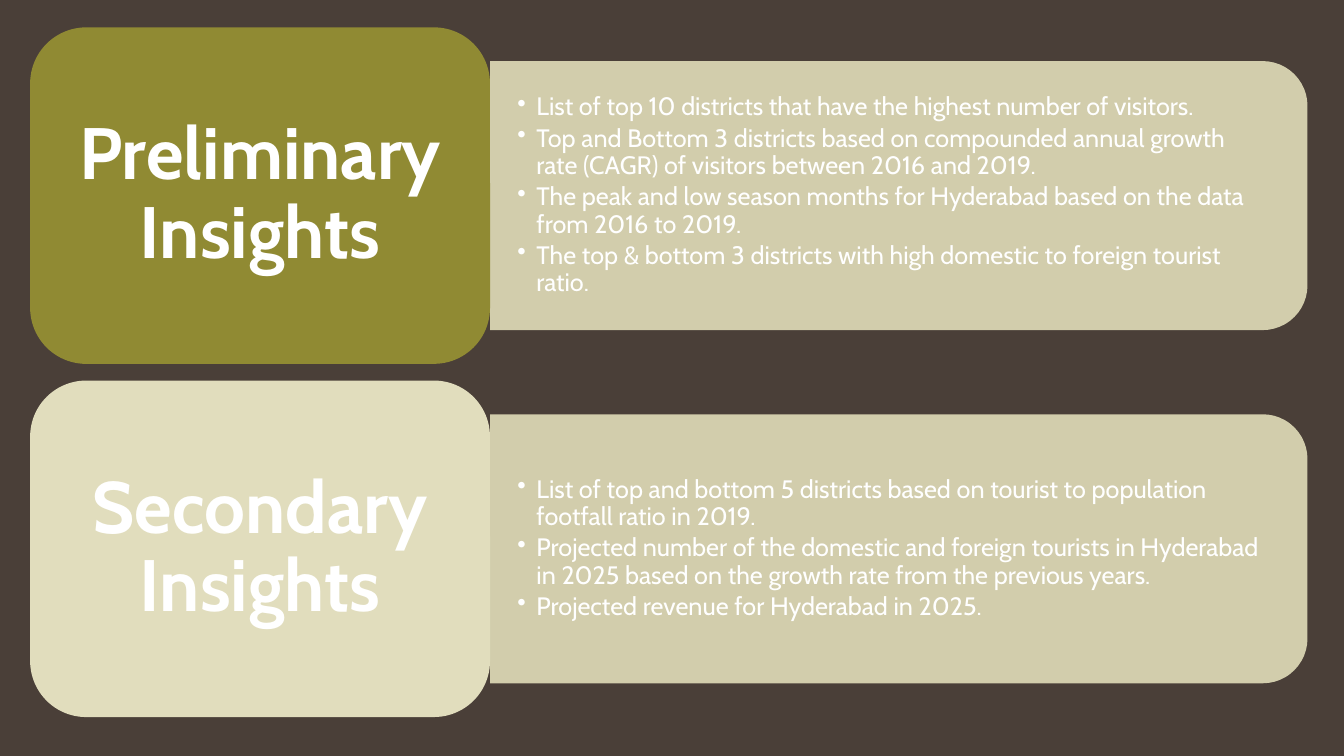
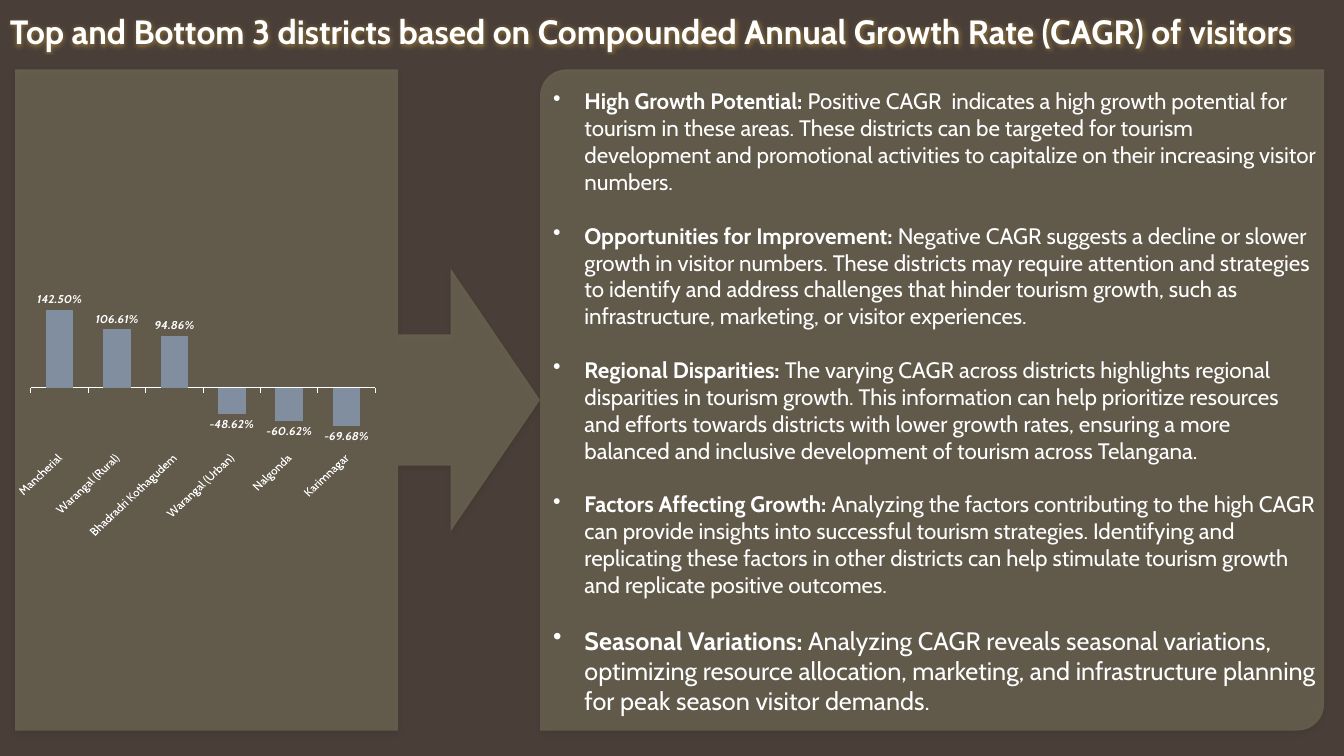
from lxml import etree
from pptx import Presentation
from pptx.chart.data import CategoryChartData
from pptx.dml.color import RGBColor
from pptx.enum.chart import XL_CHART_TYPE, XL_LABEL_POSITION, XL_TICK_LABEL_POSITION, XL_TICK_MARK
from pptx.enum.shapes import MSO_SHAPE
from pptx.enum.text import MSO_ANCHOR, PP_ALIGN
from pptx.oxml import parse_xml
from pptx.oxml.ns import nsdecls, qn
from pptx.util import Cm, Pt

COLUMN = XL_CHART_TYPE.COLUMN_CLUSTERED
OUTSIDE_END = XL_LABEL_POSITION.OUTSIDE_END
LOW = XL_TICK_LABEL_POSITION.LOW
TICK_OUT = XL_TICK_MARK.OUTSIDE
ROUND_RECT = MSO_SHAPE.ROUNDED_RECTANGLE
ROUND_TOP = MSO_SHAPE.ROUND_2_SAME_RECTANGLE
ROUND_DIAG = MSO_SHAPE.ROUND_2_DIAG_RECTANGLE
CALLOUT = MSO_SHAPE.RIGHT_ARROW_CALLOUT
MIDDLE = MSO_ANCHOR.MIDDLE
LEFT, CENTER = PP_ALIGN.LEFT, PP_ALIGN.CENTER

FONT = "Cabin"
COLORS = {
    "background": "4A3F38",
    "text": "FFFFFF",
    "olive": "908A33",
    "cream": "E1DDBD",
    "panel": "E1DDB9",
    "veil": "BEBA92",
    "bar": "818E9F",
}
COLORS = {name: RGBColor.from_string(value) for name, value in COLORS.items()}


def add_text(tf, text, size=18, bold=False, lead="", align=LEFT, hang=0, spacing=1.0, after=0):
    tf.word_wrap = True
    p = tf.add_paragraph() if tf.text else tf.paragraphs[0]
    p.alignment, p.line_spacing, p.space_after = align, spacing, Pt(after)
    if hang:
        pPr = p._p.get_or_add_pPr()
        pPr.set("marL", str(int(Cm(hang))))
        pPr.set("indent", str(-int(Cm(hang))))
        etree.SubElement(pPr, qn("a:buChar")).set("char", "•")
    for part, strong in ((lead, True), (text, bold)):
        if part:
            r = p.add_run()
            r.text = part
            r.font.name, r.font.size, r.font.bold = FONT, Pt(size), strong
            r.font.color.rgb = COLORS["text"]
    return p


def add_panel(slide, kind, box, color, alpha=100, shadow=False):
    sp = slide.shapes.add_shape(kind, *map(Cm, box))
    sp.shadow.inherit = False
    sp.fill.solid()
    sp.fill.fore_color.rgb = COLORS[color]
    sp.line.fill.background()
    if alpha < 100:
        clr = sp._element.spPr.find(qn("a:solidFill"))[0]
        etree.SubElement(clr, qn("a:alpha")).set("val", str(alpha * 1000))
    if shadow:
        sp._element.spPr.find(qn("a:effectLst")).append(parse_xml(
            f'<a:outerShdw {nsdecls("a")} blurRad="{Pt(3.5)}" dist="{Pt(2.2)}" dir="5400000" rotWithShape="0">'
            '<a:srgbClr val="000000"><a:alpha val="32000"/></a:srgbClr></a:outerShdw>'))
    return sp


prs = Presentation()
prs.slide_width, prs.slide_height = Cm(33.87), Cm(19.05)
slides = [prs.slides.add_slide(prs.slide_layouts[6]) for _ in range(2)]
for s in slides:
    s.background.fill.solid()
    s.background.fill.fore_color.rgb = COLORS["background"]
insights, growth = slides

groups = [
    ("Preliminary Insights", "olive", [
        "List of top 10 districts that have the highest number of visitors.",
        "Top and Bottom 3 districts based on compounded annual growth rate (CAGR) of visitors between 2016 and 2019.",
        "The peak and low season months for Hyderabad based on the data from 2016 to 2019.",
        "The top & bottom 3 districts with high domestic to foreign tourist ratio.",
    ]),
    ("Secondary Insights", "cream", [
        "List of top and bottom 5 districts based on tourist to population footfall ratio in 2019.",
        "Projected number of the domestic and foreign tourists in Hyderabad in 2025 based on the growth rate "
        "from the previous years.",
        "Projected revenue for Hyderabad in 2025.",
    ]),
]
card_x, card_w, card_h = 0.76, 11.59, 8.48
panel_x, panel_w, panel_h = card_x + card_w, 20.6, 6.78
for i, (heading, color, points) in enumerate(groups):
    card_y = 0.69 + i * 8.9
    middle_y = card_y + card_h / 2
    turned = (panel_x + (panel_w - panel_h) / 2, middle_y - panel_w / 2, panel_h, panel_w)
    sp = add_panel(insights, ROUND_TOP, turned, "panel", alpha=90)
    sp.rotation = 90

    box = (panel_x, middle_y - panel_h / 2, 20.27, panel_h)
    tf = insights.shapes.add_textbox(*map(Cm, box)).text_frame
    tf.vertical_anchor = MIDDLE
    tf.margin_left = tf.margin_right = Cm(0.69)
    for point in points:
        add_text(tf, point, hang=0.48, spacing=0.9, after=3)

    sp = add_panel(insights, ROUND_RECT, (card_x, card_y, card_w, card_h), color)
    sp.text_frame.vertical_anchor = MIDDLE
    add_text(sp.text_frame, heading, size=52, bold=True, align=CENTER, spacing=0.9)

tf = growth.shapes.add_textbox(0, Cm(0.15), prs.slide_width, Cm(1.28)).text_frame
p = add_text(tf, "Top and Bottom 3 districts based on Compounded Annual Growth Rate (CAGR) of visitors",
             size=24, bold=True)
p.runs[0]._r.rPr.find(qn("a:solidFill")).addnext(parse_xml(
    f'<a:effectLst {nsdecls("a")}><a:glow rad="{Pt(5)}"><a:srgbClr val="E0B040">'
    '<a:alpha val="40000"/></a:srgbClr></a:glow></a:effectLst>'))

top, height = 1.75, 16.66
sp = add_panel(growth, CALLOUT, (0.38, top, 13.23, height), "veil", alpha=26, shadow=True)
for i, value in enumerate((0.25, 0.25, 0.17, 0.73)):
    sp.adjustments[i] = value
sp = add_panel(growth, ROUND_DIAG, (13.61, top, 19.76, height), "veil", alpha=25, shadow=True)
sp.adjustments[0] = 0.04

data = CategoryChartData(number_format="0.00%")
data.categories = ["Mancherial", "Warangal (Rural)", "Bhadradri Kothagudem",
                   "Warangal (Urban)", "Nalgonda", "Karimnagar"]
data.add_series("Series 1", [1.425, 1.0661, 0.9486, -0.4862, -0.6062, -0.6968])
chart = growth.shapes.add_chart(COLUMN, Cm(0.38), Cm(6.58), Cm(9.09), Cm(6.99), data).chart
chart.has_legend = chart.has_title = False
chart.font.name, chart.font.size = FONT, Pt(10)
chart.font.color.rgb = COLORS["text"]

plot = chart.plots[0]
plot.gap_width, plot.overlap, plot.vary_by_categories = 107, -27, False
series = plot.series[0]
series.invert_if_negative = False
series.format.fill.solid()
series.format.fill.fore_color.rgb = COLORS["bar"]

plot.has_data_labels = True
labels = plot.data_labels
labels.show_value = True
labels.position = OUTSIDE_END
labels.number_format, labels.number_format_is_linked = "0.00%", False
axis = chart.category_axis
for font in (labels.font, axis.tick_labels.font):
    font.name, font.size = FONT, Pt(9)
    font.color.rgb = COLORS["text"]
labels.font.bold = labels.font.italic = True

axis.tick_label_position = LOW
axis.major_tick_mark = TICK_OUT
axis.format.line.color.rgb = COLORS["text"]
axis.format.line.width = Pt(0.75)
axis._element.find(qn("c:txPr")).find(qn("a:bodyPr")).set("rot", "-2700000")
chart.value_axis.visible = False
chart.value_axis.has_major_gridlines = False

area = chart._chartSpace.chart.plotArea
for old in area.findall(qn("c:layout")):
    area.remove(old)
area.insert(0, parse_xml(
    f'<c:layout {nsdecls("c")}><c:manualLayout><c:layoutTarget val="inner"/>'
    '<c:xMode val="edge"/><c:yMode val="edge"/><c:x val="0"/><c:y val="0.07"/>'
    '<c:w val="1"/><c:h val="0.66"/></c:manualLayout></c:layout>'))

findings = [
    ("High Growth Potential: ", 16,
     "Positive CAGR  indicates a high growth potential for tourism in these areas. These districts can be "
     "targeted for tourism development and promotional activities to capitalize on their increasing visitor "
     "numbers."),
    ("Opportunities for Improvement: ", 16,
     "Negative CAGR suggests a decline or slower growth in visitor numbers. These districts may require "
     "attention and strategies to identify and address challenges that hinder tourism growth, such as "
     "infrastructure, marketing, or visitor experiences."),
    ("Regional Disparities: ", 16,
     "The varying CAGR across districts highlights regional disparities in tourism growth. This information "
     "can help prioritize resources and efforts towards districts with lower growth rates, ensuring a more "
     "balanced and inclusive development of tourism across Telangana."),
    ("Factors Affecting Growth: ", 16,
     "Analyzing the factors contributing to the high CAGR can provide insights into successful tourism "
     "strategies. Identifying and replicating these factors in other districts can help stimulate tourism "
     "growth and replicate positive outcomes."),
    ("Seasonal Variations: ", 18,
     "Analyzing CAGR reveals seasonal variations, optimizing resource allocation, marketing, and "
     "infrastructure planning for peak season visitor demands."),
]
tf = growth.shapes.add_textbox(Cm(13.69), Cm(2.08), Cm(19.76), Cm(16.26)).text_frame
for lead, size, text in findings:
    add_text(tf, text, size=size, lead=lead, hang=0.79, after=19.2)

prs.save("out.pptx")
